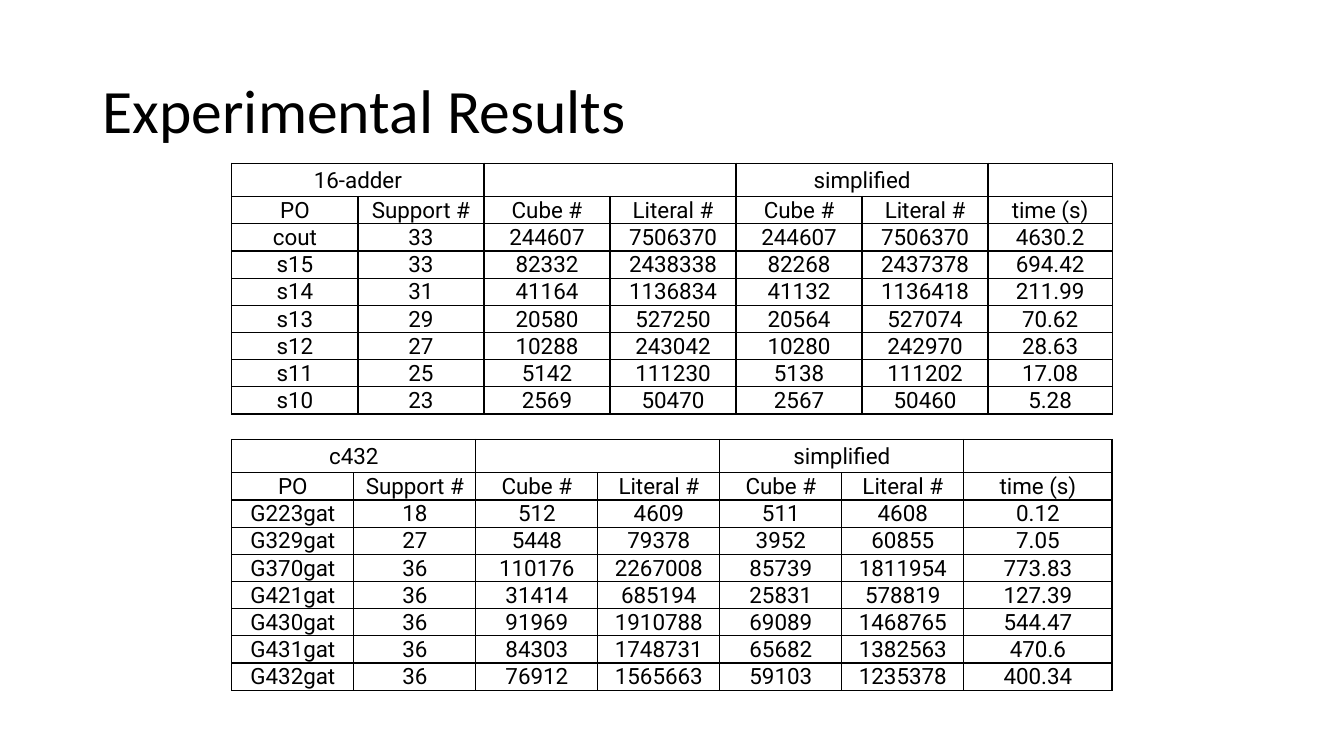
import pptx
import pptx.dml.color
import pptx.enum.text
import pptx.oxml
import pptx.oxml.ns
import pptx.util
from pptx.util import Inches

BLACK = pptx.dml.color.RGBColor(0, 0, 0)
WHITE = pptx.dml.color.RGBColor(255, 255, 255)
BORDER = (
    '<a:{side} {ns} w="12700"><a:solidFill><a:srgbClr val="{color}"/></a:solidFill></a:{side}>'
)

HEADINGS = "PO|Support #|Cube #|Literal #|Cube #|Literal #|time (s)".split("|")
ADDER_ROWS = """
cout 33 244607 7506370 244607 7506370 4630.2
s15 33 82332 2438338 82268 2437378 694.42
s14 31 41164 1136834 41132 1136418 211.99
s13 29 20580 527250 20564 527074 70.62
s12 27 10288 243042 10280 242970 28.63
s11 25 5142 111230 5138 111202 17.08
s10 23 2569 50470 2567 50460 5.28
"""
C432_ROWS = """
G223gat 18 512 4609 511 4608 0.12
G329gat 27 5448 79378 3952 60855 7.05
G370gat 36 110176 2267008 85739 1811954 773.83
G421gat 36 31414 685194 25831 578819 127.39
G430gat 36 91969 1910788 69089 1468765 544.47
G431gat 36 84303 1748731 65682 1382563 470.6
G432gat 36 76912 1565663 59103 1235378 400.34
"""
TABLE_LEFT, TABLE_WIDTH = 2.3, 8.73
GROUP_ROW_HEIGHT, ROW_HEIGHT = 0.33, 0.27
# Circuit, top, width of the first six columns, result rows
CIRCUITS = [
    ("16-adder", 1.62, 1.25, ADDER_ROWS),
    ("c432", 4.36, 1.21, C432_ROWS),
]


def write(frame, text, font, size, align):
    para = frame.paragraphs[0]
    para.alignment = align
    span = para.add_run()
    span.text = text
    span.font.name = font
    span.font.size = pptx.util.Pt(size)
    span.font.bold = False
    span.font.color.rgb = BLACK
    return para


deck = pptx.Presentation()
deck.slide_width, deck.slide_height = Inches(13.33), Inches(7.5)
page = deck.slides.add_slide(deck.slide_layouts[5])
page.background.fill.solid()
page.background.fill.fore_color.rgb = WHITE

# Title
title = page.shapes.title
title.left, title.top = Inches(0.92), Inches(0.4)
title.width, title.height = Inches(11.5), Inches(1.45)
title.text_frame.vertical_anchor = pptx.enum.text.MSO_ANCHOR.MIDDLE
heading = write(title.text_frame, "Experimental Results", font="Calibri", size=44,
                align=pptx.enum.text.PP_ALIGN.LEFT)
heading.line_spacing = 0.9

# One result table per circuit
for circuit, top, column_width, results in CIRCUITS:
    groups = [circuit, "", "", "", "simplified", "", ""]
    rows = [groups, HEADINGS] + [line.split() for line in results.strip().splitlines()]
    height = GROUP_ROW_HEIGHT + ROW_HEIGHT * (len(rows) - 1)
    table = page.shapes.add_table(
        len(rows), len(HEADINGS), Inches(TABLE_LEFT), Inches(top),
        Inches(TABLE_WIDTH), Inches(height)).table
    table.first_row = table.horz_banding = False

    # Column widths and row heights
    for column in table.columns:
        column.width = Inches(column_width)
    table.columns[6].width = Inches(TABLE_WIDTH - 6 * column_width)
    for row in table.rows:
        row.height = Inches(ROW_HEIGHT)
    table.rows[0].height = Inches(GROUP_ROW_HEIGHT)

    # Cells with text and borders
    for row_index, values in enumerate(rows):
        for column_index, value in enumerate(values):
            cell = table.cell(row_index, column_index)
            cell.margin_left = cell.margin_right = cell.margin_top = Inches(0.01)
            cell.margin_bottom = 0
            cell.vertical_anchor = pptx.enum.text.MSO_ANCHOR.MIDDLE
            cell.fill.background()
            if value:
                write(cell.text_frame, value, font="Roboto", size=16,
                      align=pptx.enum.text.PP_ALIGN.CENTER)
            properties = cell._tc.get_or_add_tcPr()
            for position, side in enumerate(("lnL", "lnR", "lnT", "lnB")):
                properties.insert(position, pptx.oxml.parse_xml(BORDER.format(
                    side=side, ns=pptx.oxml.ns.nsdecls("a"), color=BLACK)))

    # Group headings span two columns each
    for first in (0, 2, 4):
        table.cell(0, first).merge(table.cell(0, first + 1))

deck.save("out.pptx")
